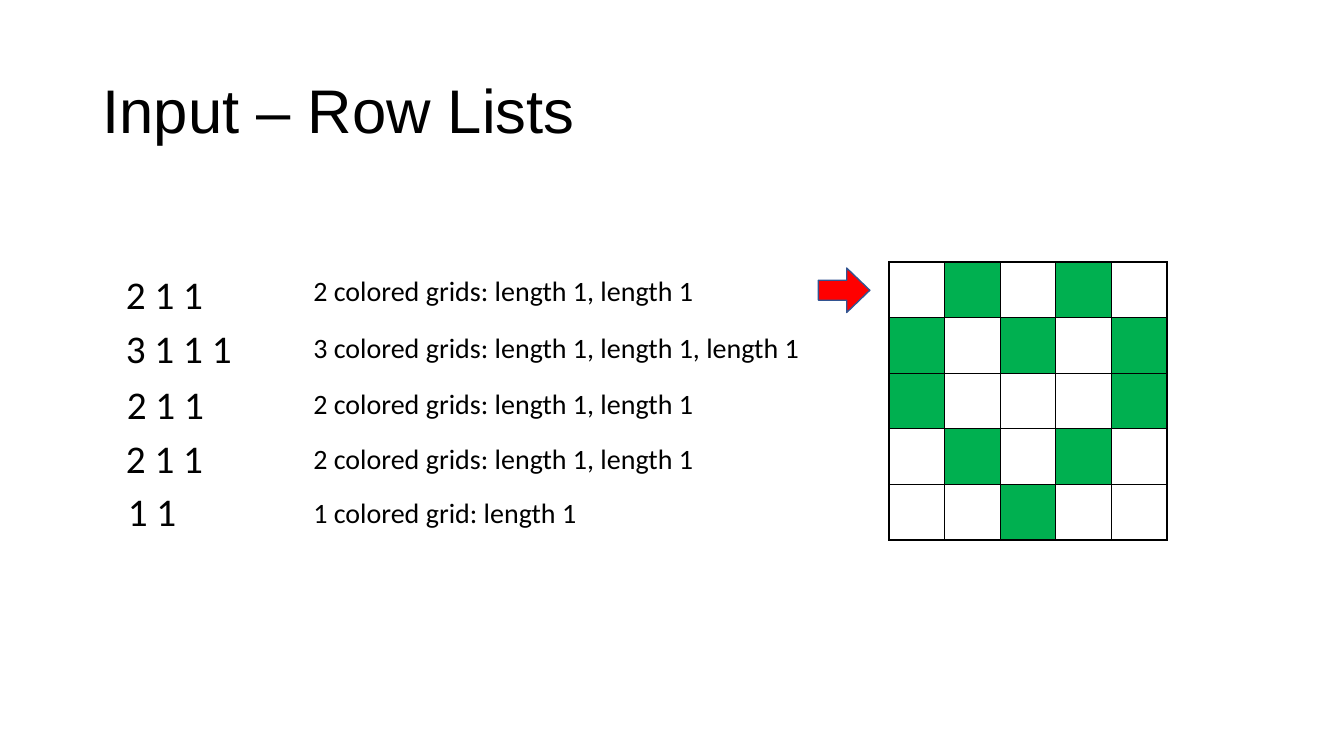
from typing import NamedTuple

from lxml import etree
from pptx import Presentation
from pptx.dml.color import RGBColor
from pptx.enum.shapes import MSO_SHAPE
from pptx.enum.text import MSO_ANCHOR, MSO_AUTO_SIZE, PP_ALIGN
from pptx.oxml.ns import qn
from pptx.util import Pt

RIGHT_ARROW = MSO_SHAPE.RIGHT_ARROW
MIDDLE = MSO_ANCHOR.MIDDLE
FIT_SHAPE = MSO_AUTO_SIZE.SHAPE_TO_FIT_TEXT
NO_FIT = MSO_AUTO_SIZE.NONE
LEFT = PP_ALIGN.LEFT

COLORS = {
    "text": "000000",
    "grid": "000000",
    "colored": "00B050",
    "arrow": "FF0000",
    "arrow_line": "325491",
}
TITLE_FONT, BODY_FONT = "Arial", "Calibri"

MEANING_LEFT = 216.7
GRID_LEFT, GRID_TOP, CELL = 635, 187.2, 39.74
PATTERN = [".#.#.", "#.#.#", "#...#", ".#.#.", "..#.."]


class Label(NamedTuple):
    text: str
    left: float
    top: float
    width: float
    height: float
    size: float


class RowList(NamedTuple):
    code: str
    code_left: float
    code_top: float
    code_width: float
    meaning: str
    meaning_top: float
    meaning_width: float


ROW_LISTS = [
    RowList("2 1 1", 82.8, 189.4, 72.7,
            "2 colored grids: length 1, length 1", 191.5, 290.9),
    RowList("3 1 1 1", 82.8, 228.2, 100.8,
            "3 colored grids: length 1, length 1, length 1", 232.6, 364.3),
    RowList("2 1 1", 83.5, 267.8, 72.7,
            "2 colored grids: length 1, length 1", 272.9, 290.9),
    RowList("2 1 1", 82.8, 306.7, 72.7,
            "2 colored grids: length 1, length 1", 311.8, 290.9),
    RowList("1 1", 84.2, 344.2, 72.7,
            "1 colored grid: length 1", 350.6, 290.9),
]


def rgb(name: str) -> RGBColor:
    return RGBColor.from_string(COLORS[name])


def add_run(p, text: str, size: float, font: str) -> None:
    r = p.add_run()
    r.text = text
    r.font.size = Pt(size)
    r.font.name = font
    r.font.color.rgb = rgb("text")


def add_label(shapes, label: Label) -> None:
    sp = shapes.add_textbox(Pt(label.left), Pt(label.top),
                            Pt(label.width), Pt(label.height))
    tf = sp.text_frame
    tf.word_wrap = True
    tf.auto_size = FIT_SHAPE
    add_run(tf.paragraphs[0], label.text, label.size, BODY_FONT)


def add_borders(cell, color: str, width: float) -> None:
    tc_pr = cell._tc.get_or_add_tcPr()
    for i, side in enumerate(("lnL", "lnR", "lnT", "lnB")):
        ln = etree.Element(qn(f"a:{side}"), w=str(Pt(width)))
        fill = etree.SubElement(ln, qn("a:solidFill"))
        etree.SubElement(fill, qn("a:srgbClr"), val=COLORS[color])
        tc_pr.insert(i, ln)


def add_grid(shapes, pattern: list[str]) -> None:
    rows, cols = len(pattern), len(pattern[0])
    table = shapes.add_table(rows, cols, Pt(GRID_LEFT), Pt(GRID_TOP),
                             Pt(cols * CELL), Pt(rows * CELL)).table
    table.first_row = table.horz_banding = False
    for line in (*table.rows,):
        line.height = Pt(CELL)
    for line in (*table.columns,):
        line.width = Pt(CELL)
    for i, marks in enumerate(pattern):
        for j, mark in enumerate(marks):
            cell = table.cell(i, j)
            if mark == "#":
                cell.fill.solid()
                cell.fill.fore_color.rgb = rgb("colored")
            else:
                cell.fill.background()
            add_borders(cell, "grid", 1)


prs = Presentation()
prs.slide_width, prs.slide_height = Pt(960), Pt(540)
s = prs.slides.add_slide(prs.slide_layouts[5])

# Title
title = s.shapes.title
title.left, title.top = Pt(66), Pt(28.8)
title.width, title.height = Pt(828), Pt(104.4)
tf = title.text_frame
tf.vertical_anchor = MIDDLE
tf.auto_size = NO_FIT
p = tf.paragraphs[0]
p.alignment = LEFT
p.line_spacing = 0.9
add_run(p, "Input – Row Lists", 44, TITLE_FONT)

# Row lists and their meanings
for row in ROW_LISTS:
    add_label(s.shapes, Label(row.code, row.code_left, row.code_top,
                              row.code_width, 41, 28))
    add_label(s.shapes, Label(row.meaning, MEANING_LEFT, row.meaning_top,
                              row.meaning_width, 31.7, 20))

# Colored grid
add_grid(s.shapes, PATTERN)

# Arrow to the first grid row
arrow = s.shapes.add_shape(RIGHT_ARROW, Pt(584.6), Pt(191.5), Pt(36.7), Pt(31.7))
arrow.adjustments[0], arrow.adjustments[1] = 0.45, 0.52
arrow.shadow.inherit = False
arrow.fill.solid()
arrow.fill.fore_color.rgb = rgb("arrow")
arrow.line.color.rgb = rgb("arrow_line")
arrow.line.width = Pt(1)

prs.save("out.pptx")
